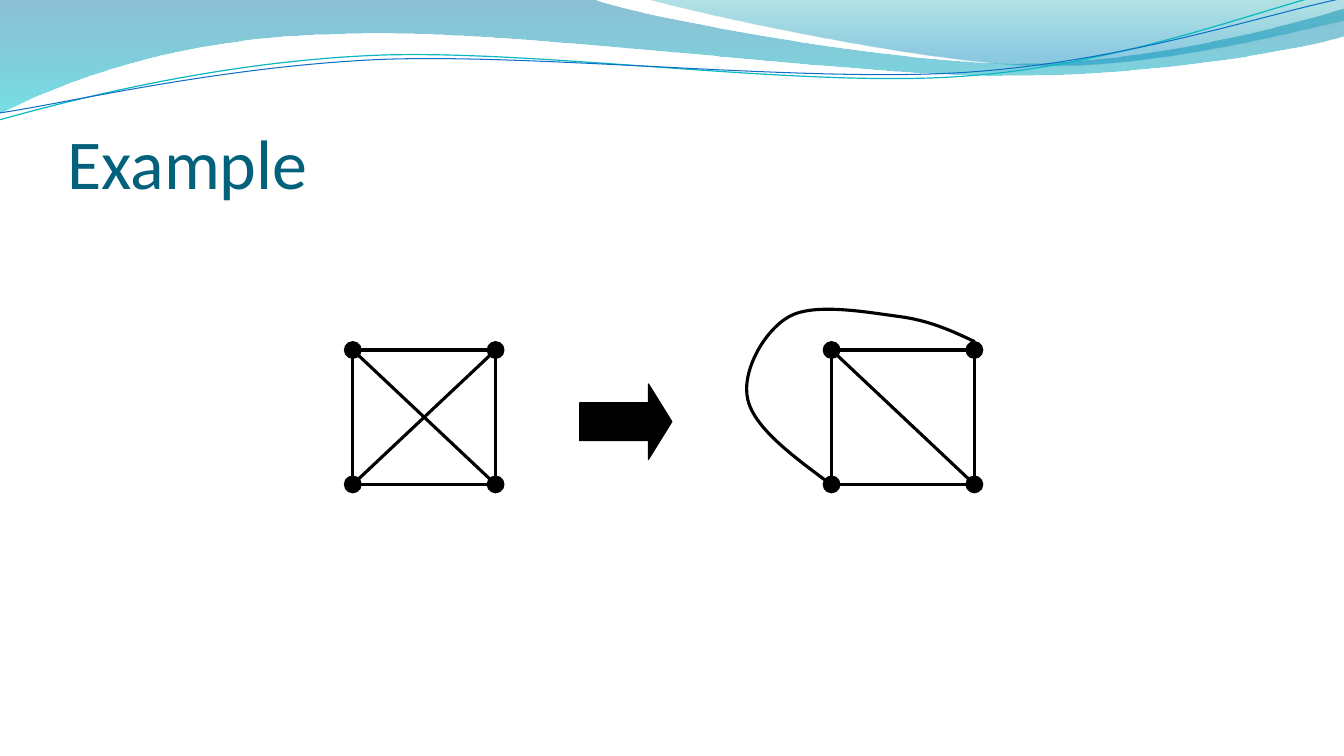
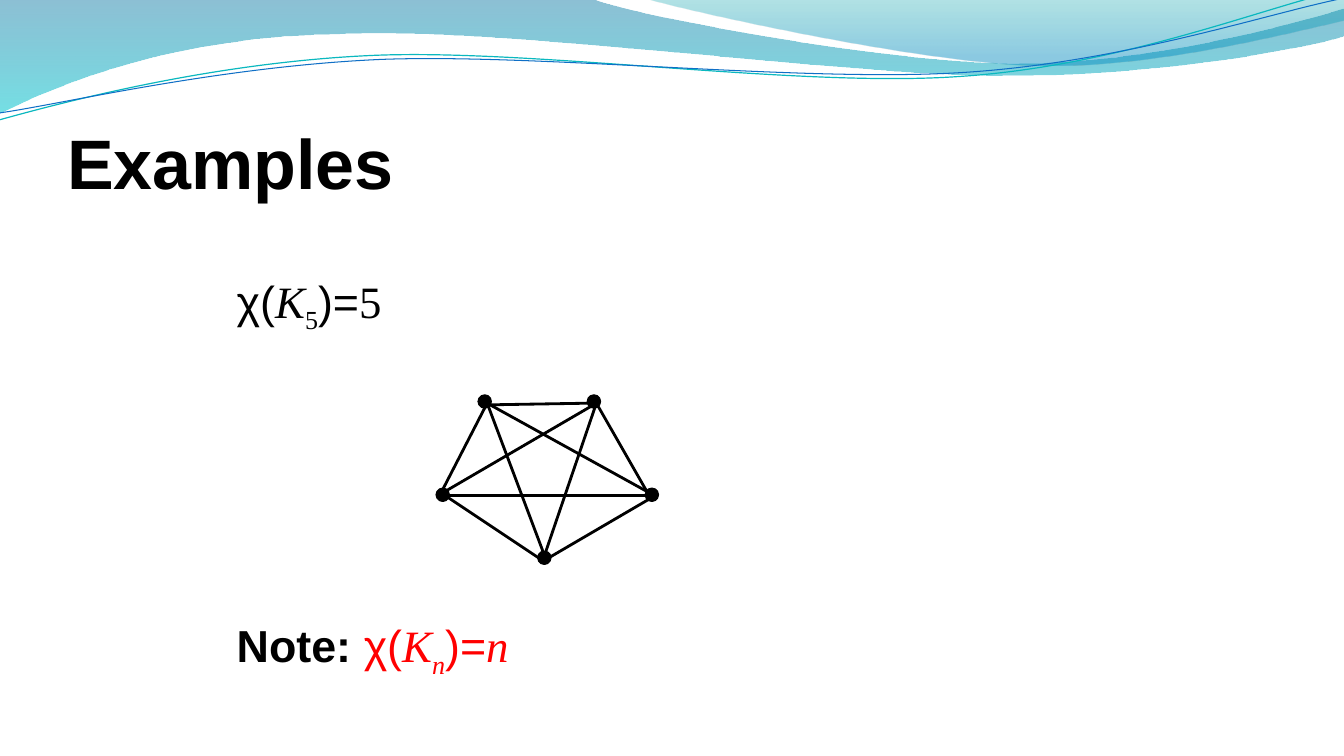
from lxml.etree import SubElement
from pptx import Presentation
from pptx.dml.color import RGBColor
from pptx.enum.shapes import MSO_CONNECTOR, MSO_SHAPE
from pptx.enum.text import MSO_ANCHOR, MSO_AUTO_SIZE, PP_ALIGN
from pptx.oxml.ns import qn
from pptx.util import Inches, Pt

CELL = Pt(6)
COLUMNS, ROWS = 160, 90
HUNDREDTH = Inches(0.01)
BLACK, RED, TEAL = "000000", "FF0000", "04617B"


def paint(fill, *colours):
    if len(colours) == 1:
        fill.solid()
        fill.fore_color.rgb = RGBColor.from_string(colours[0])
    else:
        fill.gradient()
        fill.gradient_angle = 270
        for stop, colour in zip(fill.gradient_stops, colours):
            stop.color.rgb = RGBColor.from_string(colour)


def trace(shapes, start, steps, closed=False):
    points = [step[i:i + 2] for step in steps for i in range(0, len(step), 2)]
    builder = shapes.build_freeform(*start, scale=HUNDREDTH)
    builder.add_line_segments(points, close=closed)
    outline = builder.convert_to_shape()
    outline.shadow.inherit = False
    segments = iter(list(outline.element.iter(qn("a:lnTo"))))
    for step in steps:
        group = [next(segments) for _ in range(len(step) // 2)]
        if len(group) == 3:
            curve = group[0].makeelement(qn("a:cubicBezTo"))
            group[0].addprevious(curve)
            for segment in group:
                curve.append(segment[0])
                segment.getparent().remove(segment)
    return outline


prs = Presentation()
prs.slide_width, prs.slide_height = COLUMNS * CELL, ROWS * CELL
layout = prs.slide_layouts[5]

heading = layout.placeholders[0]
heading_place = {"left": 8, "top": 9.2, "width": 145.3, "height": 15}
for side, cells in heading_place.items():
    setattr(heading, side, int(cells * CELL))
heading_frame = {
    "margin_left": 0, "margin_right": 0, "margin_top": Inches(0.05), "margin_bottom": 0,
    "vertical_anchor": MSO_ANCHOR.BOTTOM, "auto_size": MSO_AUTO_SIZE.NONE,
}
for attribute, value in heading_frame.items():
    setattr(heading.text_frame, attribute, value)

slides = []
for words, face, bold, colour in [
    ("Example", "Calibri", False, TEAL),
    ("Examples", "Arial", True, BLACK),
]:
    slide = prs.slides.add_slide(layout)
    slides.append(slide)
    slide.shapes.title.text_frame.text = words
    paragraph = slide.shapes.title.text_frame.paragraphs[0]
    paragraph.alignment = PP_ALIGN.LEFT
    font = paragraph.runs[0].font
    for attribute, value in {"name": face, "size": Pt(50), "bold": bold}.items():
        setattr(font, attribute, value)
    paint(font.fill, colour)
planar, complete = slides

bands = [
    ((0, 0), [
        (587, -1), (634, 17, 885, 63, 1011, 63), (1138, 63, 1278, 26, 1333, 9),
        (1335, 36), (1311, 44, 1160, 76, 994, 75), (829, 75, 509, 28, 343, 34),
        (172, 36, 61, 83, -1, 113), (0, 0),
    ], [("0074A1", 0, 45), ("00C6CF", 1, 55)]),
    ((639, -1), [
        (679, 11, 909, 62, 1025, 65), (1141, 69, 1282, 32, 1333, 21),
        (1333, 0), (639, -1),
    ], [("00A1A9", 0, 30), ("008BBF", 0.8, 45)]),
]
waves = [
    ((-1, 119), [
        (64, 101, 211, 62, 369, 55), (527, 48, 790, 87, 950, 76),
        (1110, 66, 1252, 8, 1331, -10),
    ], "0AB8BF", 0.85),
    ((0, 112), [
        (63, 103, 218, 66, 378, 59), (537, 53, 796, 82, 955, 72),
        (1115, 62, 1255, 14, 1334, -2),
    ], "0F6FC6", 0.75),
]
backdrop = []
for start, steps, stops in bands:
    band = trace(planar.shapes, start, steps, closed=True)
    paint(band.fill, *[colour for colour, _, _ in stops])
    for stop, (_, position, opacity) in zip(band.fill.gradient_stops, stops):
        stop.position = position
    for tint, (_, _, opacity) in zip(band.element.spPr.iter(qn("a:srgbClr")), stops):
        SubElement(tint, qn("a:alpha"), val=str(opacity * 1000))
    band.line.fill.background()
    backdrop.append(band)
for start, steps, colour, weight in waves:
    wave = trace(planar.shapes, start, steps)
    wave.fill.background()
    paint(wave.line.fill, colour)
    wave.line.width = Pt(weight)
    backdrop.append(wave)
for order, part in enumerate(backdrop):
    part.element.nvSpPr.cNvPr.set("id", str(20 + order))
    prs.slide_master.element.cSld.spTree.insert(2 + order, part.element)

SQUARE_TOP, SQUARE_WIDTH, SQUARE_HEIGHT = 41.67, 17, 16
bottom = SQUARE_TOP + SQUARE_HEIGHT
graphs = []
for left, crossed in [(42, True), (99, False)]:
    right = left + SQUARE_WIDTH
    diagonals = [(left, SQUARE_TOP, right, bottom), (left, bottom, right, SQUARE_TOP)]
    corners = [(x, y) for x in (left, right) for y in (SQUARE_TOP, bottom)]
    graph = planar.shapes.add_group_shape()
    square = graph.shapes.add_shape(MSO_SHAPE.RECTANGLE, *[
        int(n * CELL) for n in (left, SQUARE_TOP, SQUARE_WIDTH, SQUARE_HEIGHT)])
    outlines = [square]
    if not crossed:
        outlines.append(trace(graph.shapes, (967, 339), [
            (944, 328, 922, 318, 892, 314), (861, 310, 808, 300, 783, 314),
            (758, 328, 735, 369, 742, 397), (749, 425, 787, 453, 825, 481),
        ]))
    for outline in outlines:
        outline.shadow.inherit = False
        outline.fill.background()
        paint(outline.line.fill, BLACK)
        outline.line.width = Pt(2.25)
    graphs.append((graph, diagonals if crossed else diagonals[:1], corners,
                   MSO_SHAPE.OVAL, 2, 2.25))

pentagon_edges = [
    (71, 48, 65, 65.6), (58, 48, 52.7, 58.3), (58, 48, 65, 66.6), (77, 58.5, 71, 48),
    (53, 58.5, 71, 48), (58, 48, 77, 58.5), (65, 66.6, 78, 59), (58, 48.2, 70, 48),
    (53, 59, 65, 67), (53, 59, 78, 59),
]
pentagon_corners = [(57.7, 47.8), (52.7, 58.9), (64.8, 66.4), (77.6, 58.9), (70.7, 47.8)]
graphs.append((complete.shapes.add_group_shape(), pentagon_edges, pentagon_corners,
               MSO_SHAPE.FLOWCHART_CONNECTOR, 1.6, 2))

solids = []
for graph, edges, corners, dot, diameter, weight in graphs:
    for ends in edges:
        edge = graph.shapes.add_connector(
            MSO_CONNECTOR.STRAIGHT, *[int(n * CELL) for n in ends])
        paint(edge.line.fill, BLACK)
        edge.line.width = Pt(weight)
        SubElement(edge.element.spPr, qn("a:effectLst"))
    for x, y in corners:
        solids.append(graph.shapes.add_shape(dot, *[int(n * CELL) for n in (
            x - diameter / 2, y - diameter / 2, diameter, diameter)]))

arrow = planar.shapes.add_shape(
    MSO_SHAPE.RIGHT_ARROW, *[int(n * CELL) for n in (69, 45.7, 11, 9)])
arrow.adjustments[0], arrow.adjustments[1] = 0.5, 0.31
for solid in solids + [arrow]:
    solid.shadow.inherit = False
    paint(solid.fill, BLACK)
    paint(solid.line.fill, BLACK)
    solid.line.width = Pt(0.75)

SANS, SERIF = "Arial", "Times New Roman"
formulas = [
    (32, 106, [
        ("χ(", SANS, BLACK, {}), ("K", SERIF, BLACK, {"italic": True}),
        ("5", SERIF, BLACK, {"lowered": True}), (")=", SANS, BLACK, {}),
        ("5", SERIF, BLACK, {}),
    ]),
    (73, 37, [
        ("Note: ", SANS, BLACK, {"bold": True}), ("χ(", SANS, RED, {}),
        ("K", SERIF, RED, {"italic": True}),
        ("n", SERIF, RED, {"italic": True, "lowered": True}),
        (")=", SANS, RED, {}), ("n", SERIF, RED, {"italic": True}),
    ]),
]
for top, width, pieces in formulas:
    formula = complete.shapes.add_textbox(27 * CELL, top * CELL, width * CELL, int(7.7 * CELL))
    formula.text_frame.word_wrap = True
    for words, face, colour, traits in pieces:
        run = formula.text_frame.paragraphs[0].add_run()
        run.text = words
        look = {"name": face, "size": Pt(32), "bold": traits.get("bold", False),
                "italic": traits.get("italic", False)}
        for attribute, value in look.items():
            setattr(run.font, attribute, value)
        paint(run.font.fill, colour)
        if traits.get("lowered"):
            run.font.element.set("baseline", "-25000") if hasattr(run.font, "element") else \
                run._r.get_or_add_rPr().set("baseline", "-25000")

prs.save("out.pptx")
